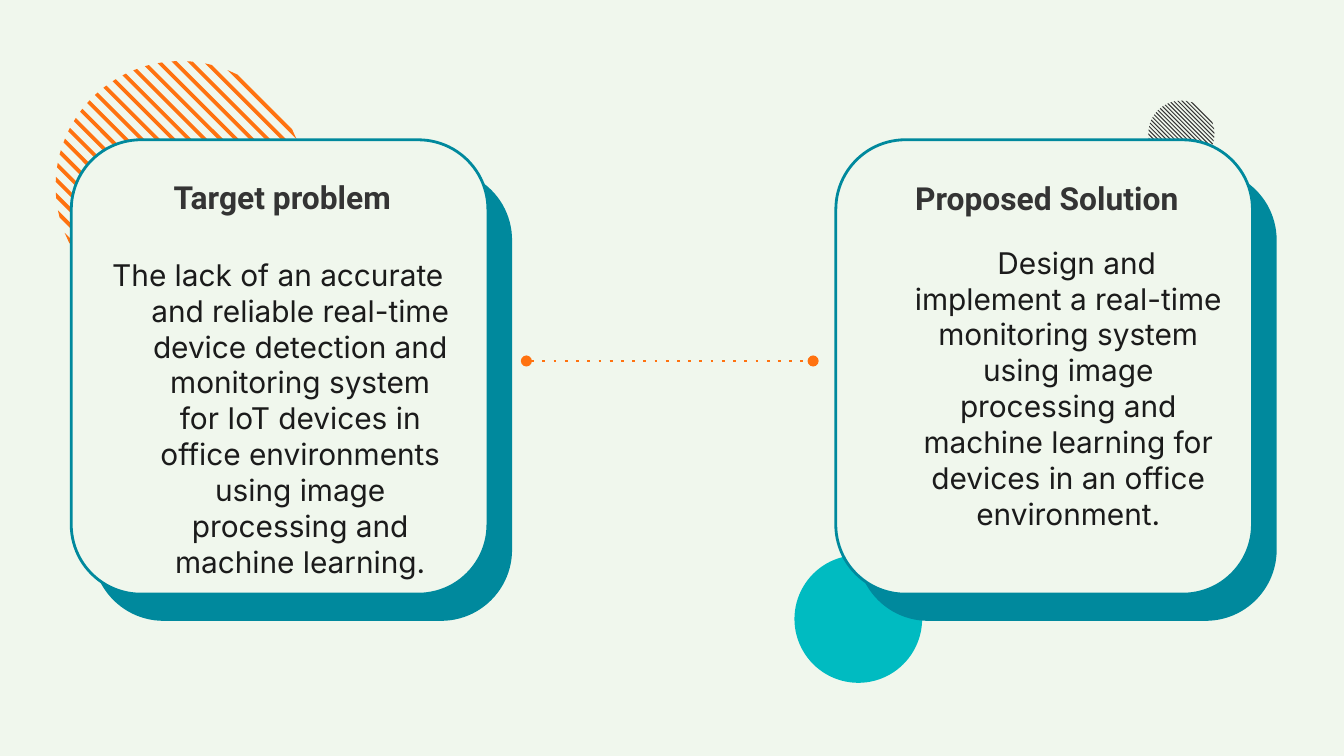
from math import sqrt

from lxml import etree
from pptx import Presentation
from pptx.dml.color import RGBColor
from pptx.enum.shapes import MSO_CONNECTOR, MSO_SHAPE
from pptx.enum.text import MSO_ANCHOR, MSO_AUTO_SIZE, PP_ALIGN
from pptx.oxml.ns import qn
from pptx.util import Pt

OVAL, CARD = MSO_SHAPE.OVAL, MSO_SHAPE.ROUNDED_RECTANGLE
LINE = MSO_CONNECTOR.STRAIGHT
TOP, MID, FIXED = MSO_ANCHOR.TOP, PP_ALIGN.CENTER, MSO_AUTO_SIZE.NONE


class Theme:
    page = RGBColor.from_string("F0F7ED")
    teal = RGBColor.from_string("00899D")
    aqua = RGBColor.from_string("00BBC1")
    orange = RGBColor.from_string("FF7210")
    dark = RGBColor.from_string("343434")
    ink = RGBColor.from_string("1B1B1B")
    head = {"font": "Roboto", "size": 17, "color": dark, "bold": True}
    body = {"font": "Inter", "size": 16, "color": ink, "left": 36}
    edge = 1.5


def paint(shape, fill, line=None):
    shape.shadow.inherit = False
    shape.fill.solid()
    shape.fill.fore_color.rgb = fill
    if line is None:
        shape.line.fill.background()
    else:
        shape.line.color.rgb = line
        shape.line.width = Pt(Theme.edge)


def write(holder, text, box, font, size, color, bold=False, left=0, first=0):
    holder.left, holder.top, holder.width, holder.height = map(Pt, box)
    frame = holder.text_frame
    frame.word_wrap, frame.auto_size = True, FIXED
    frame.vertical_anchor = TOP
    frame.margin_left = frame.margin_right = Pt(7.2)
    frame.margin_top = frame.margin_bottom = Pt(7.2)
    para = frame.paragraphs[0]
    para.alignment, para.space_before = MID, Pt(0)
    props = para._p.get_or_add_pPr()
    props.set("marL", str(Pt(left)))
    props.set("indent", str(Pt(first)))
    etree.SubElement(props, qn("a:buNone"))
    run = para.add_run()
    run.text = text
    run.font.name, run.font.size = font, Pt(size)
    run.font.bold, run.font.color.rgb = bold, color


deck = Presentation()
deck.slide_width, deck.slide_height = Pt(720), Pt(405)
slide = deck.slides.add_slide(deck.slide_layouts.get_by_name("Comparison"))
slide.background.fill.solid()
slide.background.fill.fore_color.rgb = Theme.page
shapes = slide.shapes
shapes.title._element.getparent().remove(shapes.title._element)

# Striped discs: diagonal chords at an even pitch
for mid_x, mid_y, rad, count, color in (
    (632.9, 71.6, 17.7, 21, Theme.dark),
    (96.8, 99.7, 67, 22, Theme.orange),
):
    disc = shapes.add_group_shape()
    for i in range(count):
        shift = (i - (count - 1) / 2) * 0.126 * rad
        ends = []
        for side, way in ((-1, -1), (-1, 1), (1, 1), (1, -1)):
            off = (shift + side * 0.0215 * rad) / 2
            half = way * sqrt(rad**2 / 2 - off**2)
            ends.append((Pt(mid_x - off + half), Pt(mid_y + off + half)))
        path = disc.shapes.build_freeform(*ends[0])
        path.add_line_segments(ends[1:], close=True)
        paint(path.convert_to_shape(), color)

# Solid disc
dot = shapes.add_shape(OVAL, Pt(425.6), Pt(297.4), Pt(68.4), Pt(68.4))
paint(dot, Theme.aqua)

# Cards, each with an offset backing
for left in (38.2, 447.8):
    for x, y, high, fill in (
        (left + 12.2, 91.4, 240.5, Theme.teal),
        (left, 74.9, 243.4, Theme.page),
    ):
        card = shapes.add_shape(CARD, Pt(x), Pt(y), Pt(223.2), Pt(high))
        card.adjustments[0] = 0.167
        paint(card, fill, Theme.teal)

# Dotted link with round ends
link = shapes.add_connector(LINE, Pt(282), Pt(193.4), Pt(435.6), Pt(193.4))
link.line.color.rgb = Theme.orange
link.line.width = Pt(Theme.edge)
stroke = link.line._get_or_add_ln()
etree.SubElement(stroke, qn("a:prstDash"), val="dot")
for end in ("a:headEnd", "a:tailEnd"):
    etree.SubElement(stroke, qn(end), type="oval")
etree.SubElement(link._element.spPr, qn("a:effectLst"))

# Headings and statements, brought in front of the cards
texts = (
    (1, "Target problem", (70.6, 87.8, 161.3, 28.8), Theme.head, 0),
    (2, "The lack of an accurate and reliable real-time device detection and "
        "monitoring system for IoT devices in office environments using image "
        "processing and machine learning.",
     (36, 130.3, 213.8, 162), Theme.body, -24),
    (3, "Proposed Solution", (480.2, 88.6, 161.3, 28.8), Theme.head, 0),
    (4, "Design and implement a real-time monitoring system using image "
        "processing and machine learning for devices in an office environment.",
     (444.2, 123.8, 220.3, 87.8), Theme.body, 9),
)
holders = {h.placeholder_format.idx: h for h in slide.placeholders}
for idx, text, box, style, first in texts:
    write(holders[idx], text, box, first=first, **style)
    shapes._spTree.append(holders[idx]._element)

deck.save("out.pptx")
